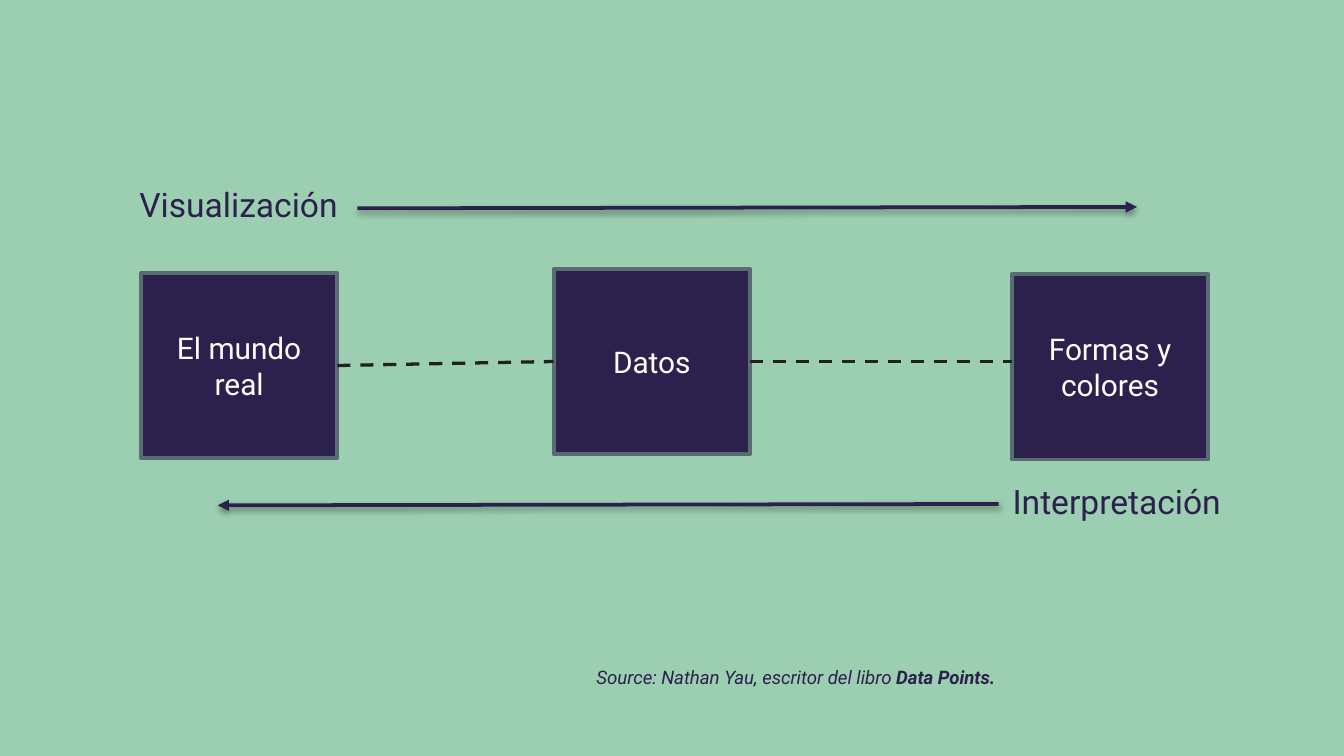
from lxml import etree
from pptx import Presentation, util as u
from pptx.dml.color import RGBColor
from pptx.enum import dml, shapes, text
from pptx.oxml.ns import qn

THEME = {
    "font": "Roboto",
    "background": "9CCFB1", "ink": "2C204D", "border": "596B73",
    "dash": "212121", "light": "FFFFFF", "shadow": "000000",
    "box_size": 16, "label_size": 18, "source_size": 10,
    "border_width": 2, "dash_width": 1.75, "arrow_width": 2,
}

# Content: positions in inches
BOX_WIDTH, BOX_HEIGHT = 1.46, 1.38
STAGES = [("El mundo real", 1.05, 2.03), ("Datos", 4.12, 2.0), ("Formas y colores", 7.53, 2.04)]
# label, its left, top and width, then arrow start and end
DIRECTIONS = [
    ("Visualización", (0.84, 1.32, 1.87), (2.66, 1.55), (8.46, 1.54)),
    ("Interpretación", (7.33, 3.53, 1.96), (7.43, 3.75), (1.62, 3.76)),
]
SOURCE = [("Source: Nathan Yau, escritor del libro ", False), ("Data Points.", True)]


def color(name):
    return RGBColor.from_string(THEME[name])


def style_font(font, size, color_name):
    font.name = THEME["font"]
    font.size = u.Pt(THEME[size])
    font.color.rgb = color(color_name)


def add_box(slide, label, left, top):
    shape = slide.shapes.add_shape(shapes.MSO_SHAPE.RECTANGLE, u.Inches(left), u.Inches(top),
                                   u.Inches(BOX_WIDTH), u.Inches(BOX_HEIGHT))
    shape.shadow.inherit = False
    shape.fill.solid()
    shape.fill.fore_color.rgb = color("ink")
    shape.line.color.rgb = color("border")
    shape.line.width = u.Pt(THEME["border_width"])
    frame = shape.text_frame
    frame.word_wrap = True
    frame.vertical_anchor = text.MSO_ANCHOR.MIDDLE
    paragraph = frame.paragraphs[0]
    paragraph.text = label
    paragraph.alignment = text.PP_ALIGN.CENTER
    style_font(paragraph.font, "box_size", "light")


def add_line(slide, start, end, color_name, width):
    line = slide.shapes.add_connector(shapes.MSO_CONNECTOR.STRAIGHT,
                                      *(u.Inches(value) for value in start + end))
    line.line.color.rgb = color(color_name)
    line.line.width = u.Pt(THEME[width])
    effects = etree.SubElement(line._element.spPr, qn("a:effectLst"))
    return line, effects


def add_arrow(slide, start, end):
    line, effects = add_line(slide, start, end, "ink", "arrow_width")
    etree.SubElement(line.line._get_or_add_ln(), qn("a:tailEnd"), type="triangle")
    shadow = etree.SubElement(effects, qn("a:outerShdw"), blurRad=str(u.Pt(3.1)),
                              dist=str(u.Pt(1.6)), dir="5400000", rotWithShape="0")
    shade = etree.SubElement(shadow, qn("a:srgbClr"), val=THEME["shadow"])
    etree.SubElement(shade, qn("a:alpha"), val="38000")


def add_text_box(slide, left, top, width, height):
    frame = slide.shapes.add_textbox(*(u.Inches(value) for value in (left, top, width, height))).text_frame
    frame.word_wrap = True
    return frame


def main():
    # 16:9 slide
    presentation = Presentation()
    presentation.slide_width = u.Inches(10)
    presentation.slide_height = u.Inches(10 * 9 / 16)
    slide = presentation.slides.add_slide(presentation.slide_layouts[6])
    slide.background.fill.solid()
    slide.background.fill.fore_color.rgb = color("background")

    # Stages
    for stage in STAGES:
        add_box(slide, *stage)

    # Dashed links, level with the middle of the box on the left and of "Datos"
    data_middle = STAGES[1][2] + BOX_HEIGHT / 2
    for (_, left, top), (_, next_left, _) in zip(STAGES, STAGES[1:]):
        link, _ = add_line(slide, (left + BOX_WIDTH, top + BOX_HEIGHT / 2),
                           (next_left, data_middle), "dash", "dash_width")
        link.line.dash_style = dml.MSO_LINE.DASH

    # Directions: label and arrow
    for label, place, start, end in DIRECTIONS:
        add_arrow(slide, start, end)
        frame = add_text_box(slide, *place, 0.4)
        frame.auto_size = text.MSO_AUTO_SIZE.SHAPE_TO_FIT_TEXT
        paragraph = frame.paragraphs[0]
        paragraph.text = label
        paragraph.alignment = text.PP_ALIGN.CENTER
        style_font(paragraph.font, "label_size", "ink")

    # Source line
    frame = add_text_box(slide, 4.34, 4.83, 3.83, 0.63)
    frame.margin_top = frame.margin_bottom = u.Inches(0.1)
    paragraph = frame.paragraphs[0]
    paragraph.line_spacing = 1.15
    for words, bold in SOURCE:
        run = paragraph.add_run()
        run.text = words
        style_font(run.font, "source_size", "ink")
        run.font.italic = True
        run.font.bold = bold

    presentation.save("out.pptx")


if __name__ == "__main__":
    main()
